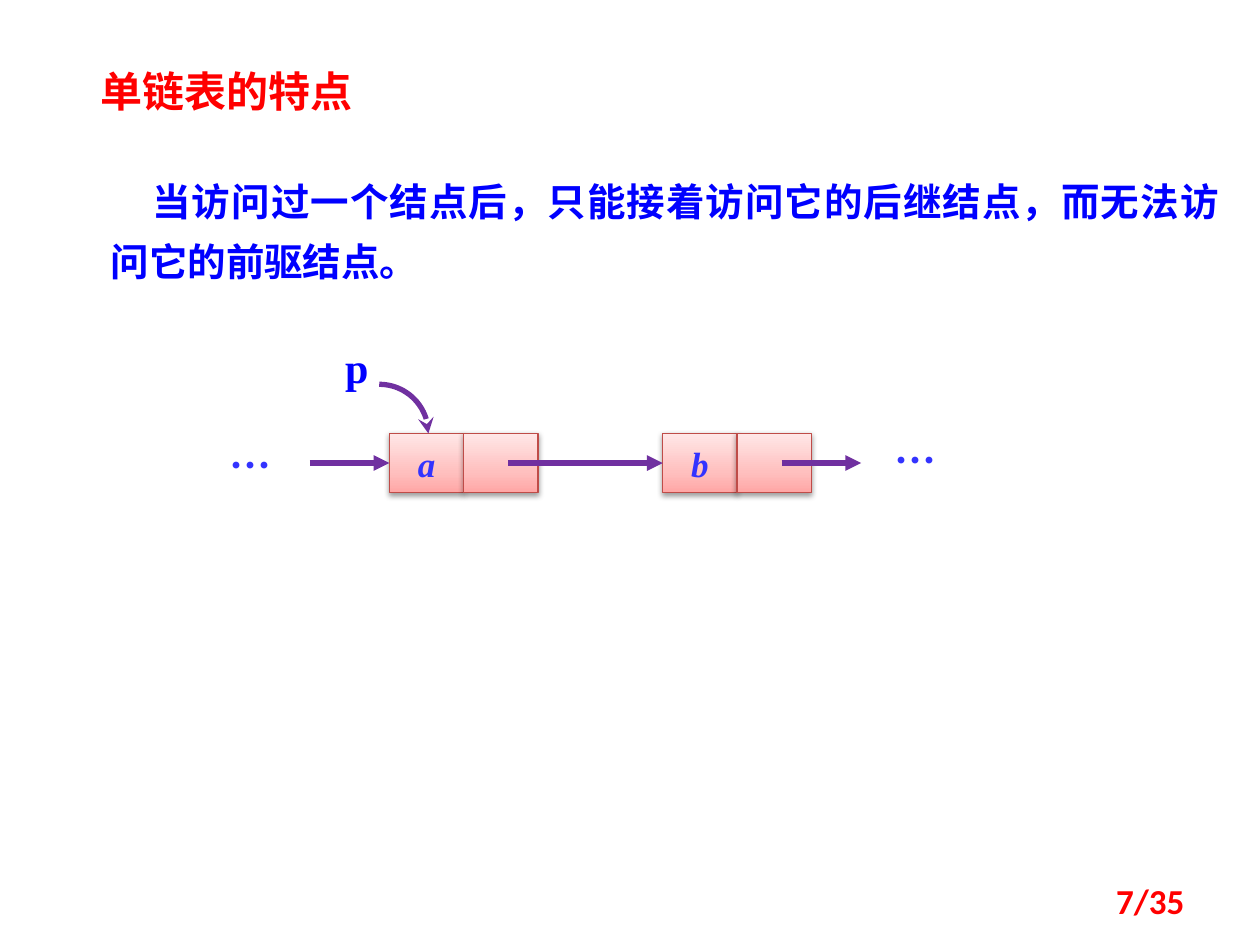
import math

import pptx
import pptx.dml.color
import pptx.enum.shapes
import pptx.enum.text
import pptx.oxml
import pptx.oxml.ns
import pptx.util

RGBColor = pptx.dml.color.RGBColor
Inches = pptx.util.Inches
ALIGN = pptx.enum.text.PP_ALIGN
ANCHOR = pptx.enum.text.MSO_ANCHOR
SHAPE = pptx.enum.shapes.MSO_SHAPE

RED = RGBColor(0xFF, 0x00, 0x00)
BLUE = RGBColor(0x00, 0x00, 0xFF)
INDIGO = RGBColor(0x33, 0x33, 0xFF)
PURPLE = RGBColor(0x70, 0x30, 0xA0)
BRICK = RGBColor(0xBF, 0x4C, 0x48)
NODE_STOPS = [(0, RGBColor(0xFF, 0xA6, 0xA5)), (35, RGBColor(0xFF, 0xC0, 0xBF)),
              (100, RGBColor(0xFF, 0xE7, 0xE7))]
CJK, SERIF = "Noto Sans CJK SC", "Times New Roman"

# Content
TITLE = "单链表的特点"
BODY = "当访问过一个结点后，只能接着访问它的后继结点，而无法访问它的前驱结点。"
NODES = [("a", 3.09), ("b", 5.26)]            # data letter, left edge
LABELS = [                                    # text, box, alignment, font, colour
    ("…", (1.67, 3.44, 0.63, 0.5), ALIGN.CENTER, CJK, INDIGO),
    ("…", (6.95, 3.4, 0.63, 0.5), ALIGN.CENTER, CJK, INDIGO),
    ("p", (2.64, 2.66, 0.47, 0.5), ALIGN.LEFT, SERIF, BLUE),
]
PAGE = "7/35"

# Node grid
CELL_W, CELL_H, NODE_TOP = 0.59, 0.47, 3.44
MID_Y = NODE_TOP + CELL_H / 2
ARROW = 0.63
ARC_LEFT, ARC_R = 3.01, 0.39


def add_xml(parent, xml):
    ns = pptx.oxml.ns.nsdecls("a")
    parent.append(pptx.oxml.parse_xml(xml.replace(">", f" {ns}>", 1)
                                      if "/>" not in xml.split(">")[0] + ">"
                                      else xml.replace("/>", f" {ns}/>", 1)))


def write(sp, text, font, size, color, align=ALIGN.LEFT, anchor=ANCHOR.TOP,
          wrap=True, italic=False):
    tf = sp.text_frame
    frame = {"word_wrap": wrap, "vertical_anchor": anchor,
             "auto_size": pptx.enum.text.MSO_AUTO_SIZE.NONE}
    for name, value in frame.items():
        setattr(tf, name, value)
    p = tf.paragraphs[0]
    p.alignment = align
    p.space_before = pptx.util.Pt(0)
    r = p.add_run()
    r.text = text
    style = {"name": font, "size": pptx.util.Pt(size), "bold": True, "italic": italic}
    for name, value in style.items():
        setattr(r.font, name, value)
    r.font.color.rgb = color
    add_xml(r.font._element, f'<a:ea typeface="{font}"/>')
    return p


def place(sp, *box):
    for name, value in zip(("left", "top", "width", "height"), box):
        setattr(sp, name, Inches(value))


def style_arrow(sp, head):
    sp.line.color.rgb = PURPLE
    sp.line.width = pptx.util.Pt(3)
    add_xml(sp.line._get_or_add_ln(), f'<a:tailEnd type="{head}"/>')
    add_xml(sp._element.spPr, "<a:effectLst/>")


def add_cell(shapes, left):
    sp = shapes.add_shape(SHAPE.RECTANGLE, *map(Inches, (left, NODE_TOP, CELL_W, CELL_H)))
    sp.line.color.rgb = BRICK
    sp.line.width = pptx.util.Pt(0.75)
    stops = "".join(f'<a:gs pos="{pos * 1000}"><a:srgbClr val="{color}"/></a:gs>'
                    for pos, color in NODE_STOPS)
    spPr = sp._element.spPr
    add_xml(spPr, f'<a:gradFill><a:gsLst>{stops}</a:gsLst><a:lin ang="16200000"/></a:gradFill>')
    spPr.insert(2, spPr[-1])                  # fill goes before the line
    add_xml(spPr, '<a:effectLst><a:outerShdw blurRad="40000" dist="20000" dir="5400000" '
                  'rotWithShape="0"><a:srgbClr val="000000"><a:alpha val="38000"/>'
                  '</a:srgbClr></a:outerShdw></a:effectLst>')
    return sp


def add_arrow(shapes, start, end, target=None):
    sp = shapes.add_connector(pptx.enum.shapes.MSO_CONNECTOR.STRAIGHT,
                              *map(Inches, (start, MID_Y, end, MID_Y)))
    if target is not None:
        sp.end_connect(target, 1)
    style_arrow(sp, "triangle")


def main():
    prs = pptx.Presentation()
    prs.slide_width, prs.slide_height = Inches(10), Inches(7.5)
    slide = prs.slides.add_slide(prs.slide_layouts[1])
    shapes = slide.shapes

    # Title and explanation
    title, body = shapes.title, slide.placeholders[1]
    place(title, 0.7, 0.47, 2.73, 0.5)
    write(title, TITLE, CJK, 24, RED)
    place(body, 0.78, 1.25, 9, 1.06)
    p = write(body, BODY, CJK, 22, BLUE, ALIGN.JUSTIFY)
    p.line_spacing = 1.3
    pPr = p._p.get_or_add_pPr()
    pPr.set("marL", "0")
    pPr.set("indent", str(Inches(0.33)))
    add_xml(pPr, "<a:buNone/>")

    # List nodes: a data cell and a pointer cell each
    data_cells = []
    for letter, left in NODES:
        sp = add_cell(shapes, left)
        write(sp, letter, SERIF, 20, INDIGO, ALIGN.CENTER, ANCHOR.MIDDLE, False, True)
        data_cells.append(sp)
        add_cell(shapes, left + CELL_W)

    # Links between nodes
    (_, a_left), (_, b_left) = NODES
    add_arrow(shapes, a_left - ARROW, a_left, data_cells[0])
    add_arrow(shapes, a_left + 1.6 * CELL_W, b_left, data_cells[1])
    add_arrow(shapes, b_left + 1.6 * CELL_W, b_left + 1.6 * CELL_W + ARROW)

    # Quarter-circle arrow from p to the first node
    angles = [math.radians(90 * i / 24) for i in range(25)]
    points = [(Inches(ARC_LEFT + ARC_R * math.sin(t)),
               Inches(NODE_TOP - ARC_R * math.cos(t))) for t in angles]
    builder = shapes.build_freeform(*points[0])
    builder.add_line_segments(points[1:], close=False)
    curve = builder.convert_to_shape()
    curve.fill.background()
    style_arrow(curve, "stealth")

    # Labels and page number
    for text, box, align, font, color in LABELS:
        write(shapes.add_textbox(*map(Inches, box)), text, font, 24, color, align)
    page = shapes.add_textbox(*map(Inches, (7.17, 6.95, 2.33, 0.4)))
    write(page, PAGE, "Calibri", 20, RED, ALIGN.RIGHT, ANCHOR.MIDDLE)

    prs.save("out.pptx")


if __name__ == "__main__":
    main()
